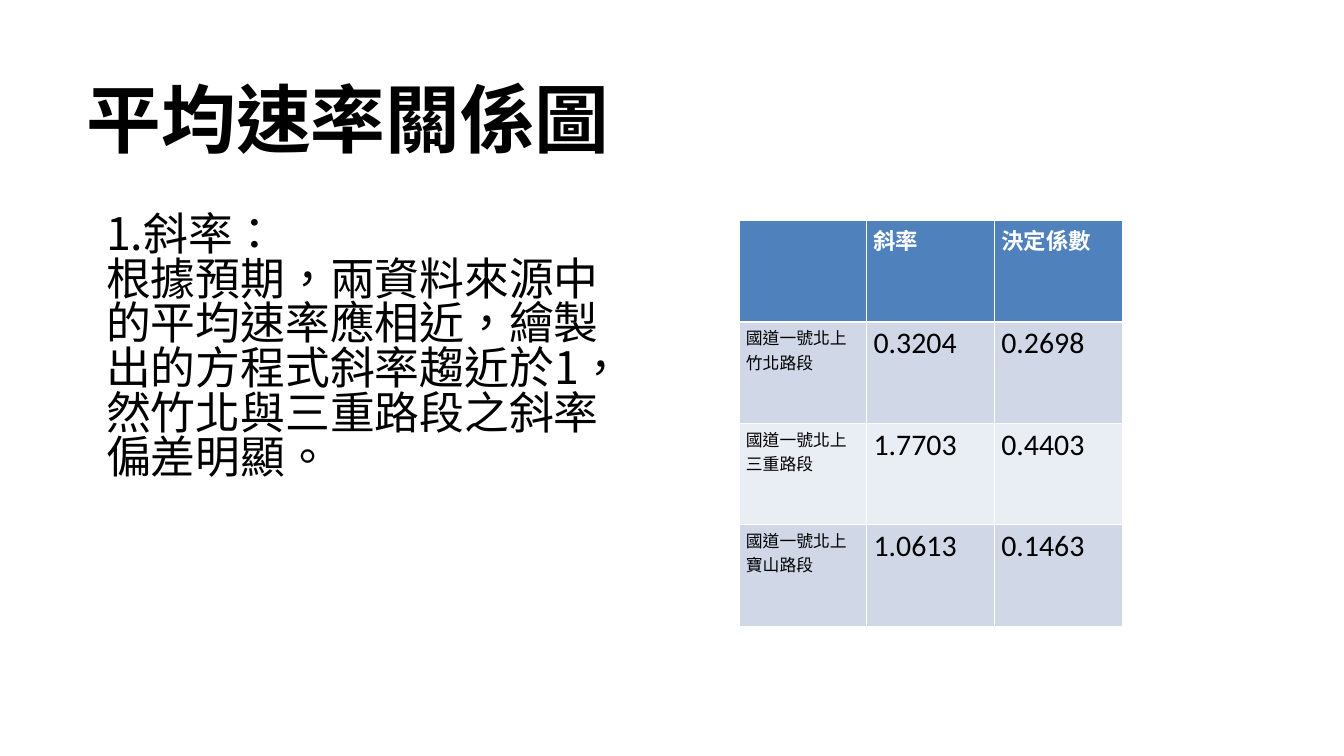
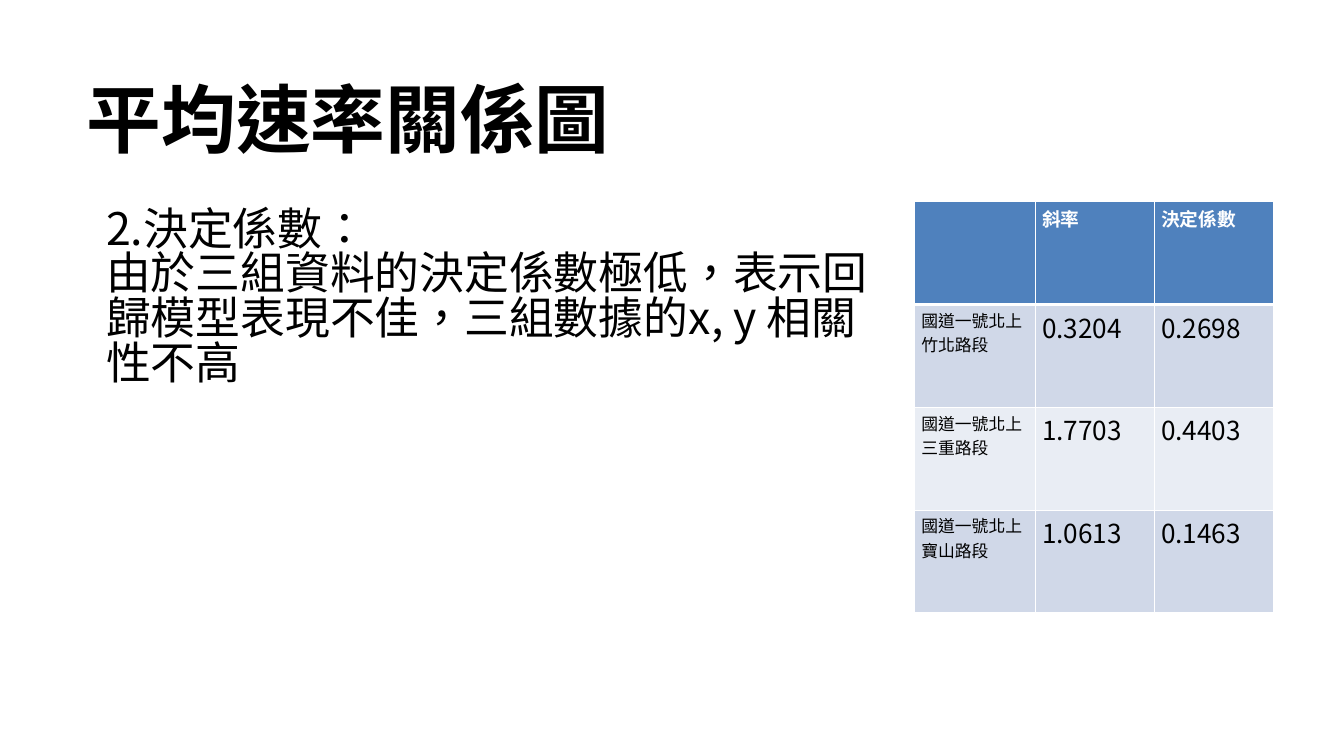
from lxml import etree
from pptx import Presentation
from pptx.dml.color import RGBColor
from pptx.enum.text import MSO_AUTO_SIZE
from pptx.oxml.ns import qn
from pptx.util import Inches, Pt

GROW_SHAPE = MSO_AUTO_SIZE.SHAPE_TO_FIT_TEXT
BLACK = RGBColor(0x00, 0x00, 0x00)
WHITE = RGBColor(0xFF, 0xFF, 0xFF)
HEADER_BLUE = RGBColor(0x4F, 0x81, 0xBD)
BAND_COLORS = (RGBColor(0xD0, 0xD8, 0xE8), RGBColor(0xE9, 0xED, 0xF4))
CHINESE_FONT = "Noto Sans CJK SC"
NUMBER_FONT = "Calibri"
TITLE = "平均速率關係圖"
HEADERS = ("", "斜率", "決定係數")
RESULTS = (
    ("國道一號北上竹北路段", "0.3204", "0.2698"),
    ("國道一號北上三重路段", "1.7703", "0.4403"),
    ("國道一號北上寶山路段", "1.0613", "0.1463"),
)
SLOPE_TEXT = (
    "1.斜率：",
    "根據預期，兩資料來源中的平均速率應相近，繪製出的方程式斜率趨近於1，"
    "然竹北與三重路段之斜率偏差明顯。",
)
DETERMINATION_TEXT = (
    "2.決定係數：",
    "由於三組資料的決定係數極低，表示回歸模型表現不佳，三組數據的x, y 相關性不高",
)


def style_paragraph(paragraph, size, color=BLACK, bold=False, name=CHINESE_FONT):
    """Set the font of a paragraph for Latin and Chinese text."""
    font = paragraph.font
    font.size = Pt(size)
    font.bold = bold
    font.color.rgb = color
    font.name = name
    properties = paragraph._p.pPr.find(qn("a:defRPr"))
    properties.set("lang", "zh-TW")
    etree.SubElement(properties, qn("a:ea")).set("typeface", CHINESE_FONT)


def add_text(slide, position, texts, size, line_spacing, margins, bold=False):
    """Add a wrapping text box with one paragraph per text."""
    frame = slide.shapes.add_textbox(*map(Inches, position)).text_frame
    frame.word_wrap = True
    frame.auto_size = GROW_SHAPE
    frame.margin_left = frame.margin_right = Inches(margins[0])
    frame.margin_top, frame.margin_bottom = map(Inches, margins[1:])
    frame.text = "\n".join(texts)
    for paragraph in frame.paragraphs:
        paragraph.line_spacing = line_spacing
        style_paragraph(paragraph, size, bold=bold)


def add_title(slide):
    """Add the title shared by the slides."""
    add_text(slide, (1.29, 1.33, 13.85, 1.21), (TITLE,), 80, 0.81, (0, 0, 0), bold=True)


def add_body(slide, position, texts):
    """Add the explanation beside the table."""
    add_text(slide, position, texts, 48, 0.83, (0.1, 0.12, 0.05))


def set_borders(cell, bottom_width):
    """Draw white borders around a table cell."""
    properties = cell._tc.get_or_add_tcPr()
    for side, width in (("L", 1), ("R", 1), ("T", 1), ("B", bottom_width)):
        line = etree.SubElement(properties, qn(f"a:ln{side}"), w=str(Pt(width)))
        fill = etree.SubElement(line, qn("a:solidFill"))
        etree.SubElement(fill, qn("a:srgbClr"), val=str(WHITE))


def add_results_table(slide, left, top, widths, row_height, header_size, number_size, number_font):
    """Add the table of slopes and coefficients of determination."""
    rows = (HEADERS, *RESULTS)
    table = slide.shapes.add_table(
        len(rows), len(HEADERS), Inches(left), Inches(top),
        Inches(sum(widths)), Inches(row_height * len(rows)),
    ).table
    for column, width in zip(table.columns, widths):
        column.width = Inches(width)
    for row_index, texts in enumerate(rows):
        table.rows[row_index].height = Inches(row_height)
        is_header = row_index == 0
        for column_index, text in enumerate(texts):
            cell = table.cell(row_index, column_index)
            set_borders(cell, 3 if is_header else 1)
            cell.fill.solid()
            cell.fill.fore_color.rgb = HEADER_BLUE if is_header else BAND_COLORS[(row_index - 1) % 2]
            cell.text = text
            paragraph = cell.text_frame.paragraphs[0]
            if is_header:
                style_paragraph(paragraph, header_size, WHITE, bold=True)
            elif column_index == 0:
                style_paragraph(paragraph, 18)
            else:
                style_paragraph(paragraph, number_size, name=number_font)


def add_blank_slide(presentation):
    """Add a slide on the blank layout."""
    return presentation.slides.add_slide(presentation.slide_layouts[6])


def add_slope_slide(presentation):
    """Build the slide about the slopes."""
    slide = add_blank_slide(presentation)
    add_body(slide, (1.48, 3.08, 8.09, 6.56), SLOPE_TEXT)
    add_results_table(slide, 11, 3.28, (1.9, 1.9, 1.9), 1.51, 24, 32, NUMBER_FONT)
    add_title(slide)


def add_determination_slide(presentation):
    """Build the slide about the coefficients of determination."""
    slide = add_blank_slide(presentation)
    add_body(slide, (1.48, 3, 11.81, 4.14), DETERMINATION_TEXT)
    add_results_table(slide, 13.61, 3, (1.8, 1.77, 1.77), 1.53, 20, 28, CHINESE_FONT)
    add_title(slide)


def main():
    """Build and save the presentation."""
    presentation = Presentation()
    presentation.slide_width = Inches(20)
    presentation.slide_height = Inches(11.25)
    add_slope_slide(presentation)
    add_determination_slide(presentation)
    presentation.save("out.pptx")


if __name__ == "__main__":
    main()
